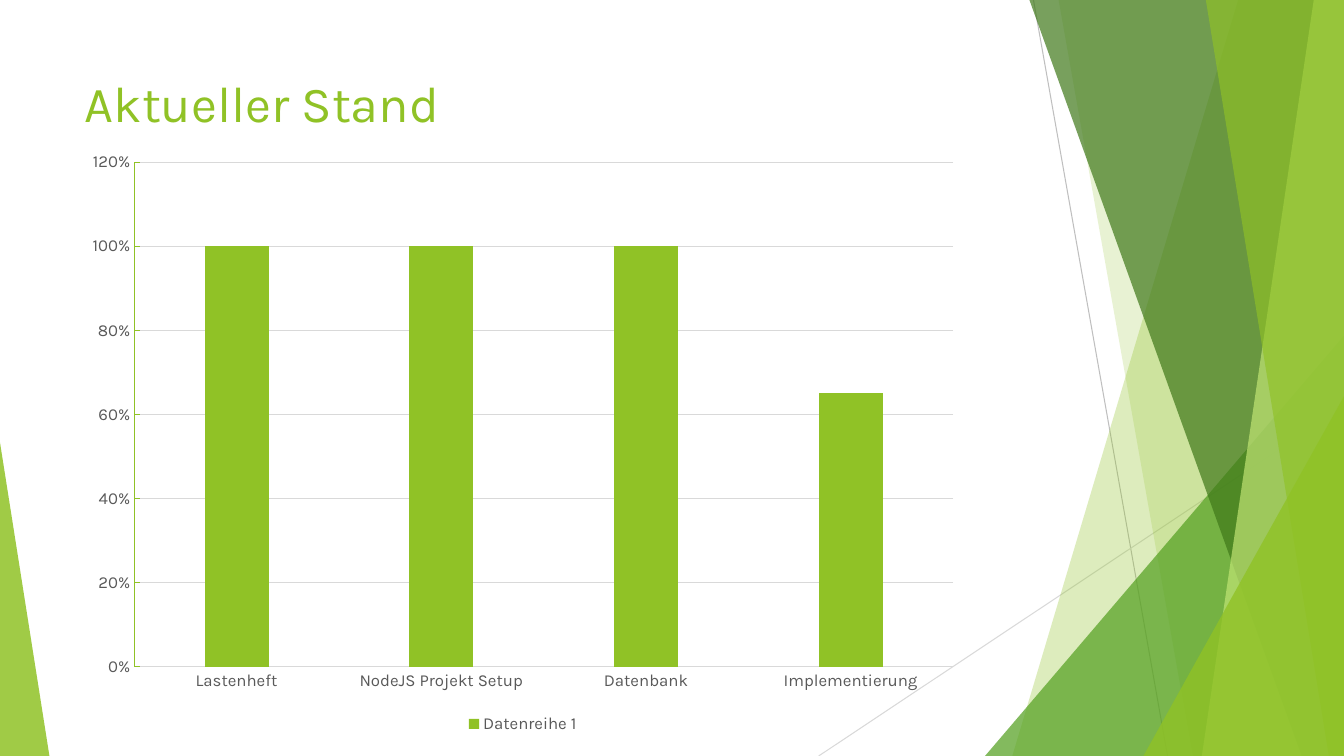
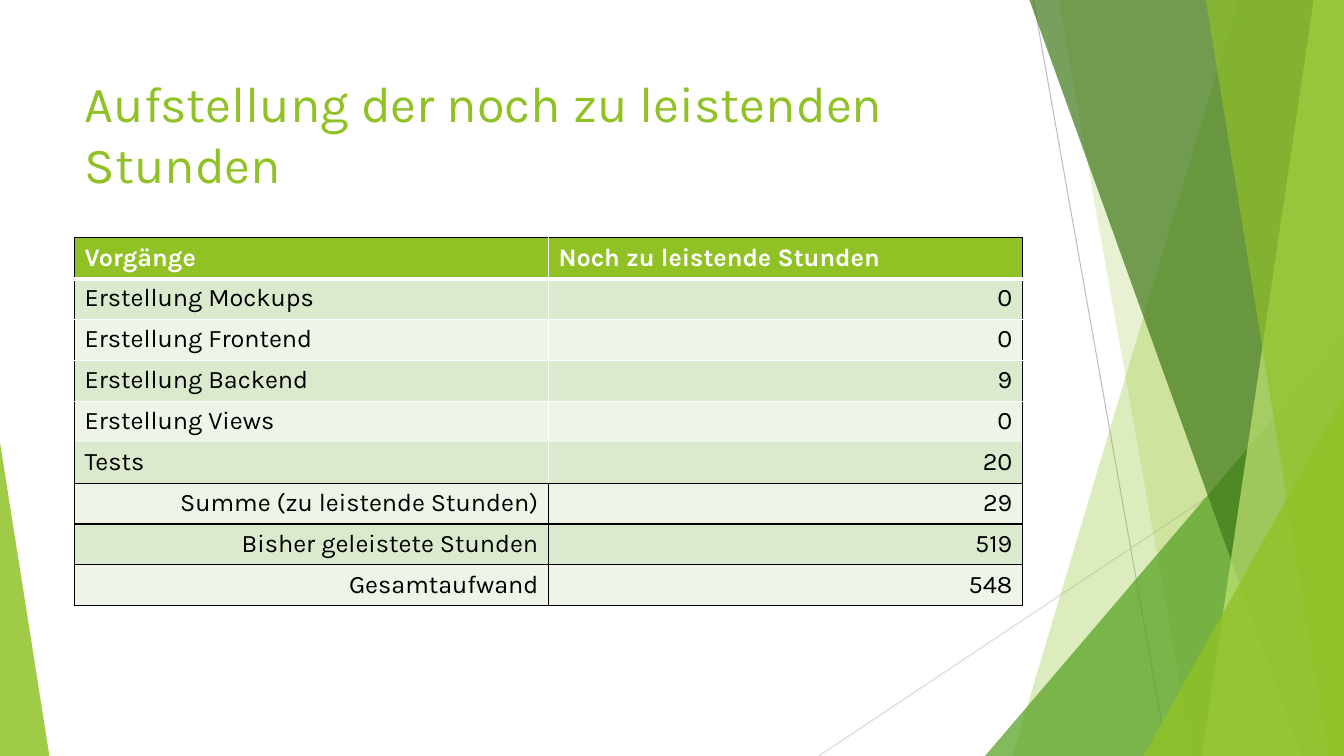
from dataclasses import dataclass

import pptx
from lxml import etree
from pptx.chart.data import CategoryChartData
from pptx.dml.color import RGBColor
from pptx.enum.chart import XL_CHART_TYPE, XL_LEGEND_POSITION, XL_TICK_MARK
from pptx.enum.dml import MSO_FILL
from pptx.enum.shapes import MSO_CONNECTOR, MSO_SHAPE
from pptx.enum.text import MSO_ANCHOR, MSO_AUTO_SIZE, PP_ALIGN
from pptx.oxml.ns import qn
from pptx.util import Inches, Pt

WIDTH, HEIGHT = 13.33, 7.5
LEFT = 0.74


@dataclass(frozen=True)
class Theme:
    font: str = "Karla"
    accent: str = "90C226"
    mid_green: str = "54A021"
    dark_green: str = "3F7819"
    light_green: str = "C0E474"
    band_dark: str = "DBE9CD"
    band_light: str = "EEF4E8"
    grey: str = "BFBFBF"
    light_grey: str = "D9D9D9"
    label: str = "595959"
    black: str = "000000"
    white: str = "FFFFFF"
    title_size: int = 36
    table_size: int = 18
    chart_size: int = 12
    thin: float = 0.75


THEME = Theme()

RAYS = [  # from, to, colour
    ((10.25, 0), (11.58, HEIGHT), THEME.grey),
    ((WIDTH, 4.03), (8.12, HEIGHT), THEME.light_grey),
]
# Bands reach the right edge: top-left x, bottom-left x, colour, opacity.
# Triangles: left, top, width, apex position, colour, opacity.
FACETS = [
    ("band", 12.28, 10.04, THEME.accent, 30),
    ("band", 10.5, 11.83, THEME.accent, 20),
    ("triangle", 9.77, 3.33, 3.56, 1, THEME.mid_green, 72),
    ("band", 10.21, 12.91, THEME.dark_green, 70),
    ("band", 13.03, 11.92, THEME.light_green, 70),
    ("band", 11.96, 13.18, THEME.accent, 65),
    ("triangle", 11.34, 3.93, 1.99, 1, THEME.accent, 80),
    ("triangle", 0, 4.39, 0.49, 0, THEME.accent, 85),
]

PROGRESS = {
    "Lastenheft": 1,
    "NodeJS Projekt Setup": 1,
    "Datenbank": 1,
    "Implementierung": 0.65,
}

HEADER = ("Vorgänge", "Noch zu leistende Stunden")
TASKS = [
    ("Erstellung Mockups", "0"),
    ("Erstellung Frontend", "0"),
    ("Erstellung Backend", "9"),
    ("Erstellung Views", "0"),
    ("Tests", "20"),
]
TOTALS = [
    ("Summe (zu leistende Stunden)", "29"),
    ("Bisher geleistete Stunden", "519"),
    ("Gesamtaufwand", "548"),
]


def rgb(colour):
    return RGBColor.from_string(colour)


def assign(target, values):
    for name, value in values.items():
        setattr(target, name, value)


def inches(*lengths):
    return [Inches(length) for length in lengths]


class SlideWriter:
    def __init__(self, deck, theme):
        self.deck = deck
        self.theme = theme
        self.page = None

    def start(self, title, title_width):
        """Open a title-only slide with the shared decoration."""
        self.page = self.deck.slides.add_slide(self.deck.slide_layouts[5])
        for ray in RAYS:
            self.line(*ray)
        for kind, *values in FACETS:
            getattr(self, kind)(*values)
        self.title(title, title_width)

    def style_font(self, font, size, colour, bold=False):
        assign(font, {"name": self.theme.font, "size": Pt(size), "bold": bold})
        font.color.rgb = rgb(colour)

    def style_line(self, line, colour):
        line.color.rgb = rgb(colour)
        line.width = Pt(self.theme.thin)

    def title(self, text, width):
        box = self.page.shapes.title
        left, top, width, height = inches(LEFT, 0.67, width, 1.44)
        assign(box, {"left": left, "top": top, "width": width, "height": height})
        frame = box.text_frame
        assign(frame, {"text": text, "word_wrap": True,
                       "auto_size": MSO_AUTO_SIZE.NONE,
                       "vertical_anchor": MSO_ANCHOR.TOP})
        para = frame.paragraphs[0]
        para.alignment = PP_ALIGN.LEFT
        self.style_font(para.runs[0].font, self.theme.title_size, self.theme.accent)

    def line(self, start, end, colour):
        connector = self.page.shapes.add_connector(
            MSO_CONNECTOR.STRAIGHT, *inches(*start, *end))
        self.style_line(connector.line, colour)
        etree.SubElement(connector._element.spPr, qn("a:effectLst"))

    def paint(self, shape, colour, opacity):
        """Give a shape a translucent fill, no outline and no shadow."""
        shape.fill.solid()
        shape.fill.fore_color.rgb = rgb(colour)
        fill_colour = shape._element.spPr.find(qn("a:solidFill"))[0]
        etree.SubElement(fill_colour, qn("a:alpha"), val=str(opacity * 1000))
        shape.line.fill.background()
        shape.shadow.inherit = False

    def band(self, top_x, bottom_x, colour, opacity):
        builder = self.page.shapes.build_freeform(
            Inches(top_x), 0, scale=1.0)
        corners = [(WIDTH, 0), (WIDTH, HEIGHT), (bottom_x, HEIGHT)]
        builder.add_line_segments([inches(*corner) for corner in corners])
        self.paint(builder.convert_to_shape(), colour, opacity)

    def triangle(self, left, top, width, apex, colour, opacity):
        shape = self.page.shapes.add_shape(
            MSO_SHAPE.ISOSCELES_TRIANGLE,
            *inches(left, top, width, HEIGHT - top))
        shape.adjustments[0] = apex
        self.paint(shape, colour, opacity)

    def column_chart(self, name, values, area):
        theme = self.theme
        data = CategoryChartData(number_format="0%")
        data.categories = list(values)
        data.add_series(name, list(values.values()))
        chart = self.page.shapes.add_chart(
            XL_CHART_TYPE.COLUMN_CLUSTERED, *inches(*area), data).chart
        assign(chart, {"has_title": False, "has_legend": True})
        assign(chart.legend, {"position": XL_LEGEND_POSITION.BOTTOM,
                              "include_in_layout": False})

        plot = chart.plots[0]
        assign(plot, {"gap_width": 219, "overlap": -27, "vary_by_categories": False})
        fill = plot.series[0].format.fill
        fill.solid()
        fill.fore_color.rgb = rgb(theme.accent)

        categories, scale = chart.category_axis, chart.value_axis
        assign(categories, {"major_tick_mark": XL_TICK_MARK.NONE,
                            "minor_tick_mark": XL_TICK_MARK.NONE})
        assign(scale, {"major_tick_mark": XL_TICK_MARK.INSIDE,
                       "minor_tick_mark": XL_TICK_MARK.NONE,
                       "minimum_scale": 0, "maximum_scale": 1.2,
                       "major_unit": 0.2, "has_major_gridlines": True})
        assign(scale.tick_labels, {"number_format": "0%",
                                   "number_format_is_linked": False})
        self.style_line(categories.format.line, theme.light_grey)
        self.style_line(scale.format.line, theme.accent)
        self.style_line(scale.major_gridlines.format.line, theme.light_grey)
        for owner in (categories.tick_labels, scale.tick_labels, chart.legend):
            self.style_font(owner.font, theme.chart_size, theme.label)

    def border(self, cell, side, edge):
        """Draw one cell side; edge is (colour, points), or None for no line."""
        colour, points = edge or (None, 1)
        line = etree.SubElement(cell._tc.get_or_add_tcPr(), qn("a:ln" + side),
                                w=str(Pt(points)))
        if colour is None:
            etree.SubElement(line, qn("a:noFill"))
        else:
            fill = etree.SubElement(line, qn("a:solidFill"))
            etree.SubElement(fill, qn("a:srgbClr"), val=colour)

    def cell(self, cell, text, fill, colour, bold, align, edges):
        for side, edge in edges.items():
            self.border(cell, side, edge)
        cell.fill.solid()
        cell.fill.fore_color.rgb = rgb(fill)
        cell.text = text
        para = cell.text_frame.paragraphs[0]
        para.alignment = align
        self.style_font(para.runs[0].font, self.theme.table_size, colour, bold)

    def hours_table(self, header, tasks, totals, area):
        theme = self.theme
        rows = [header, *tasks, *totals]
        table = self.page.shapes.add_table(
            len(rows), len(header), *inches(*area)).table
        assign(table, {"first_row": False, "horz_banding": False})

        black, white = (theme.black, 1), (theme.white, 1)
        across = [black, (theme.white, 3), *[white] * (len(tasks) - 2), None,
                  *[black] * (len(totals) + 1)]
        for row, texts in enumerate(rows):
            is_header, is_total = row == 0, row > len(tasks)
            if is_header:
                fill, colour = theme.accent, theme.white
            else:
                fill = theme.band_dark if row % 2 else theme.band_light
                colour = theme.black
            down = [black, black if is_total else white, black]
            for column, text in enumerate(texts):
                to_right = is_total or (column == 1 and not is_header)
                align = PP_ALIGN.RIGHT if to_right else PP_ALIGN.LEFT
                edges = {"L": down[column], "R": down[column + 1],
                         "T": across[row], "B": across[row + 1]}
                self.cell(table.cell(row, column), text, fill, colour,
                          is_header, align, edges)


def main():
    deck = pptx.Presentation()
    assign(deck, {"slide_width": Inches(WIDTH), "slide_height": Inches(HEIGHT)})
    writer = SlideWriter(deck, THEME)

    writer.start("Aktueller Stand", 9.4)
    writer.column_chart("Datenreihe 1", PROGRESS, (LEFT, 1.39, 8.89, 5.93))

    writer.start("Aufstellung der noch zu leistenden Stunden", 9.71)
    writer.hours_table(HEADER, TASKS, TOTALS, (LEFT, 2.36, 9.4, 3.65))

    deck.save("out.pptx")


if __name__ == "__main__":
    main()
